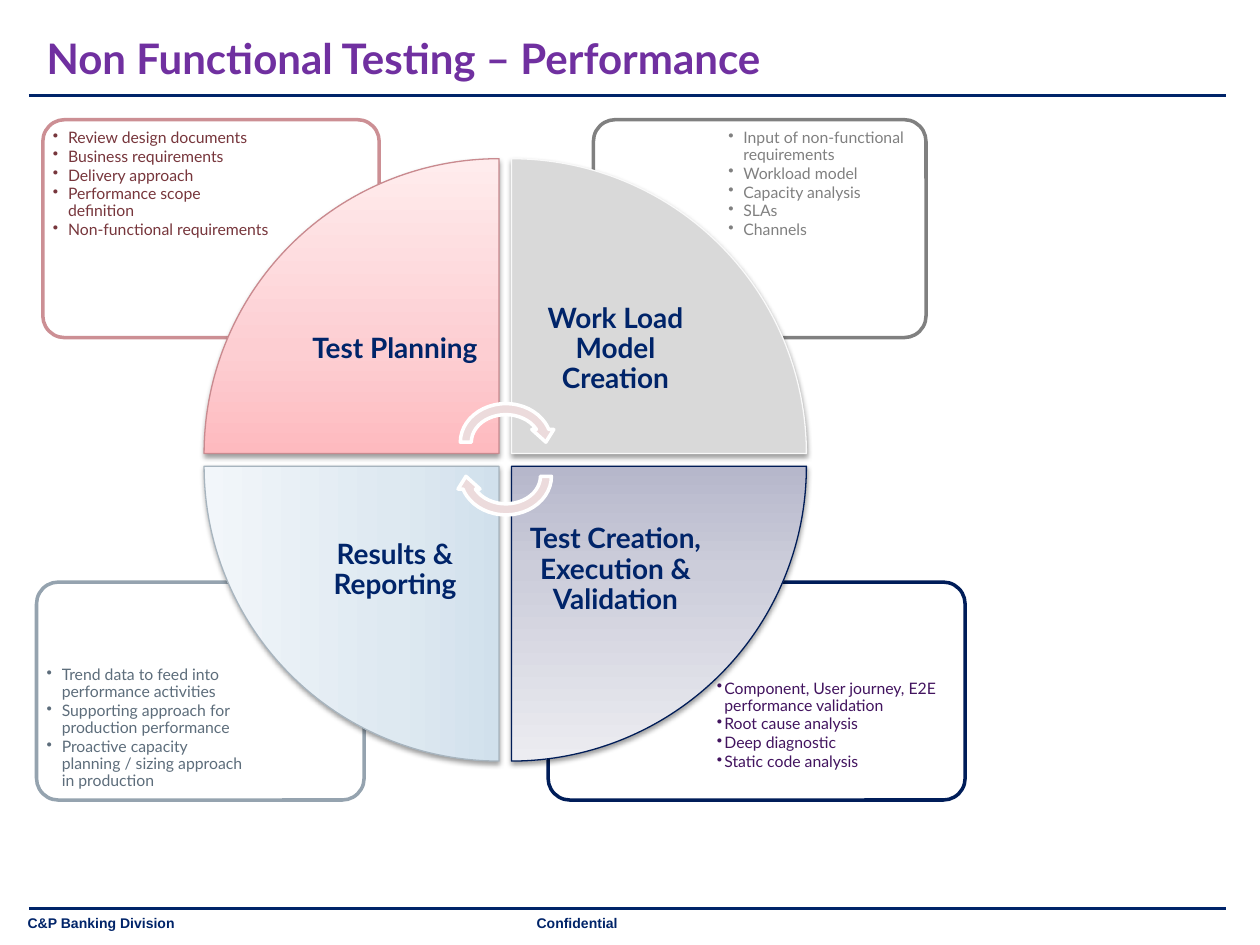
import copy
from dataclasses import dataclass

import pptx
import pptx.util
import pptx.dml.color
import pptx.enum.shapes
import pptx.enum.text
import pptx.oxml
import pptx.oxml.ns

SCALE = 9144  # EMU in one px, at 100 px to the inch
SHAPE = pptx.enum.shapes.MSO_SHAPE
ANCHOR = pptx.enum.text.MSO_ANCHOR
ALIGN = pptx.enum.text.PP_ALIGN
qn = pptx.oxml.ns.qn

COLORS = {
    "navy": "002469", "title": "7030A0", "white": "FFFFFF", "arrow": "ECDBDC",
    "plan": "77363C", "plan box": "CC8F94", "plan edge": "C98A8F",
    "load": "808080", "load fill": "D9D9D9", "load edge": "F9F9F9",
    "run": "42145F", "run box": "001D59", "run edge": "001C57",
    "report": "5D6D7B", "report box": "95A3AF", "report edge": "A7B4BE",
}
BLENDS = {
    "plan": ("FEBABF", "FDCED2", "FFECED"),
    "run": ("B6B7CB", "CCCDDA", "ECECF1"),
    "report": ("D1E0EC", "DEE9F1", "F2F6FA"),
}
STOPS = (0, 0.35, 1)

WEDGE, GAP, LABEL = 234, 10, 165
LEFT, TOP = 162, 126
BOX = 173


@dataclass
class Box:
    x: int
    y: int
    w: int
    h: int


@dataclass
class Part:
    name: str
    col: int
    row: int
    turn: int
    label: str
    box: Box
    note: Box
    items: tuple
    pad: tuple = (4, 4, 4, 4)
    hang: int = 12
    anchor: ANCHOR = ANCHOR.TOP


PARTS = (
    Part("run", 1, 1, 180, "Test Creation, Execution & Validation",
         Box(435, 462, 331, BOX), Box(538, 509, 224, 122),
         ("Component, User journey, E2E performance validation",
          "Root cause analysis", "Deep diagnostic", "Static code analysis"),
         pad=(31, 31, 4, 4), hang=6),
    Part("report", 0, 1, 270, "Results & Reporting",
         Box(29, 462, 260, BOX), Box(33, 509, 175, 122),
         ("Trend data to feed into performance activities",
          "Supporting approach for production performance",
          "Proactive capacity planning / sizing approach in production"),
         anchor=ANCHOR.BOTTOM),
    Part("load", 1, 0, 90, "Work Load Model Creation",
         Box(471, 95, 264, BOX), Box(554, 99, 177, 122),
         ("Input of non-functional requirements", "Workload model",
          "Capacity analysis", "SLAs", "Channels"), pad=(24, 4, 4, 4)),
    Part("plan", 0, 0, 0, "Test Planning",
         Box(34, 95, 267, BOX), Box(38, 99, 179, 122),
         ("Review design documents", "Business requirements",
          "Delivery approach", "Performance scope definition",
          "Non-functional requirements")),
)


def px(n: int) -> int:
    return pptx.util.Emu(n * SCALE)


def rgb(key: str):
    return pptx.dml.color.RGBColor.from_string(COLORS.get(key, key))


def place(box: Box) -> tuple:
    return px(box.x), px(box.y), px(box.w), px(box.h)


def write(shape, *lines: str, size: int, color: str, font: str = "Lato",
          bold: bool = False, align=ALIGN.LEFT, anchor=ANCHOR.TOP,
          pad: tuple = (10, 5, 10, 5), hang: int = 0, lead: float = 1.0,
          after: int = 0) -> None:
    """Fill a shape with paragraphs; a hang width makes them bulleted."""
    frame = shape.text_frame
    frame.word_wrap = True
    frame.auto_size = pptx.enum.text.MSO_AUTO_SIZE.NONE
    frame.vertical_anchor = anchor
    (frame.margin_left, frame.margin_top,
     frame.margin_right, frame.margin_bottom) = map(px, pad)
    for i, line in enumerate(lines):
        para = frame.add_paragraph() if i else frame.paragraphs[0]
        run = para.add_run()
        run.text = line
        para.alignment = align
        para.line_spacing = lead
        para.space_before = pptx.util.Pt(0)
        para.space_after = pptx.util.Pt(after)
        if hang:
            props = para._p.get_or_add_pPr()
            props.set("marL", str(px(hang)))
            props.set("indent", str(-px(hang)))
            mark = pptx.oxml.parse_xml(
                f'<a:buChar {pptx.oxml.ns.nsdecls("a")} char="•"/>')
            props.append(mark)
        run.font.name = font
        run.font.size = pptx.util.Pt(size)
        run.font.bold = bold
        run.font.color.rgb = rgb(color)


def text(slide, box: Box, *lines: str, **look) -> None:
    write(slide.shapes.add_textbox(*place(box)), *lines, **look)


def rule(slide, y: int) -> None:
    line = slide.shapes.add_connector(
        pptx.enum.shapes.MSO_CONNECTOR.STRAIGHT, px(23), px(y), px(973), px(y))
    line.line.color.rgb = rgb("navy")
    line.line.width = pptx.util.Pt(1.5)
    line._element.spPr.append(pptx.oxml.parse_xml(
        f'<a:effectLst {pptx.oxml.ns.nsdecls("a")}/>'))


def draw(slide, kind, box: Box, fill: str, edge: str, width: float,
         turn: int = 0):
    shape = slide.shapes.add_shape(kind, *place(box))
    shape.rotation = turn
    shape.fill.solid()
    shape.fill.fore_color.rgb = rgb(fill)
    shape.line.color.rgb = rgb(edge)
    shape.line.width = pptx.util.Pt(width)
    shape.shadow.inherit = False
    return shape


def blend(shape, hues: tuple) -> None:
    """Give the shape a three-stop gradient that rises from its base."""
    shape.fill.gradient()
    shape.fill.gradient_angle = 90
    stops = shape._element.spPr.find(qn("a:gradFill")).find(qn("a:gsLst"))
    stops.append(copy.deepcopy(stops[0]))
    for stop, hue, spot in zip(shape.fill.gradient_stops, hues, STOPS):
        stop.color.rgb = rgb(hue)
        stop.position = spot


def shade(shape) -> None:
    """Add a soft shadow below the shape."""
    shape._element.spPr.find(qn("a:effectLst")).append(pptx.oxml.parse_xml(
        f'<a:outerShdw {pptx.oxml.ns.nsdecls("a")} blurRad="39370" '
        'dist="20320" dir="5400000" rotWithShape="0">'
        '<a:srgbClr val="000000"><a:alpha val="38000"/></a:srgbClr>'
        '</a:outerShdw>'))


def callout(slide, part: Part) -> None:
    box = draw(slide, SHAPE.ROUNDED_RECTANGLE, part.box, "white",
               part.name if part.name == "load" else f"{part.name} box", 2)
    box.adjustments[0] = 0.1
    text(slide, part.note, *part.items, size=9, color=part.name, pad=part.pad,
         hang=part.hang, anchor=part.anchor, lead=0.9, after=1)


def wedge(slide, part: Part) -> None:
    x = LEFT + part.col * (WEDGE + GAP)
    y = TOP + part.row * (WEDGE + GAP)
    shape = draw(slide, SHAPE.PIE_WEDGE, Box(x, y, WEDGE, WEDGE), "load fill",
                 f"{part.name} edge", 0.75, part.turn)
    if part.name in BLENDS:
        blend(shape, BLENDS[part.name])
    shade(shape)
    inner = WEDGE - LABEL
    spot = Box(x + inner * (1 - part.col), y + inner * (1 - part.row),
               LABEL, LABEL)
    text(slide, spot, part.label, size=16, color="navy", bold=True,
         align=ALIGN.CENTER, anchor=ANCHOR.MIDDLE, pad=(12,) * 4, lead=0.9)


def main() -> None:
    deck = pptx.Presentation()
    deck.slide_width, deck.slide_height = px(1000), px(750)
    slide = deck.slides.add_slide(deck.slide_layouts[5])

    title = slide.shapes.title
    title.left, title.top, title.width, title.height = place(
        Box(27, 23, 748, 46))
    write(title, "Non Functional Testing – Performance", size=24,
          color="title", bold=True, anchor=ANCHOR.MIDDLE)

    for y in (76, 721):
        rule(slide, y)
    for x, words in ((12, "C&P Banking Division"), (416, "Confidential")):
        text(slide, Box(x, 721, 391, 24), words, size=8, color="navy",
             font="Arial", bold=True)

    for part in PARTS:
        callout(slide, part)
    for part in reversed(PARTS):
        wedge(slide, part)
    for y, turn in ((316, 0), (343, 180)):
        draw(slide, SHAPE.CIRCULAR_ARROW, Box(361, y, 81, 70), "arrow",
             "white", 2, turn)

    deck.save("out.pptx")


if __name__ == "__main__":
    main()
